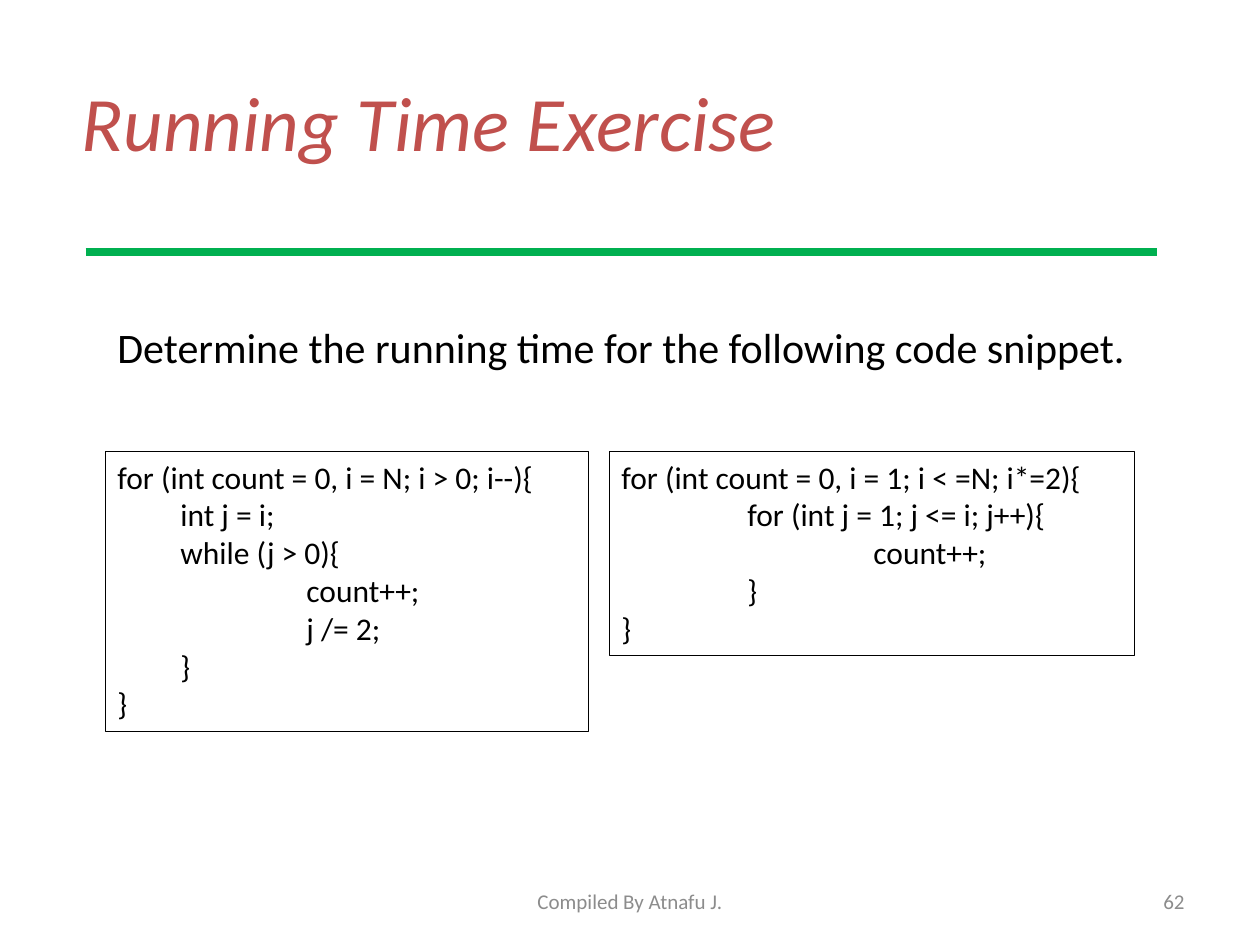
from pptx import Presentation
from pptx.dml.color import RGBColor
from pptx.enum.shapes import MSO_CONNECTOR, MSO_SHAPE
from pptx.enum.text import MSO_ANCHOR, PP_ALIGN
from pptx.oxml.ns import qn
from pptx.util import Pt

STRAIGHT = MSO_CONNECTOR.STRAIGHT
RECTANGLE = MSO_SHAPE.RECTANGLE
TOP, MIDDLE = MSO_ANCHOR.TOP, MSO_ANCHOR.MIDDLE
LEFT, CENTER, RIGHT = PP_ALIGN.LEFT, PP_ALIGN.CENTER, PP_ALIGN.RIGHT
TITLE_ONLY = 5

COLORS = {"title": "C0504D", "text": "000000", "rule": "00B050", "footer": "8C8C8C"}

# Each code line is (indent in points, text)
CODE_TOP = 258
CODE_BOXES = [
    (60, 276, 160, [
        (0, "for (int count = 0, i = N; i > 0; i--){"),
        (36, "int j = i;"),
        (36, "while (j > 0){"),
        (108, "count++;"),
        (108, "j /= 2;"),
        (36, "}"),
        (0, "}"),
    ]),
    (348, 300, 116.5, [
        (0, "for (int count = 0, i = 1; i < =N; i*=2){"),
        (72, "for (int j = 1; j <= i; j++){"),
        (144, "count++;"),
        (72, "}"),
        (0, "}"),
    ]),
]


class SlidePainter:
    font_name = "Calibri"

    def __init__(self, page):
        self.page = page

    def color(self, name):
        return RGBColor.from_string(COLORS[name])

    def fill_text(self, frame, lines, size, color, align=LEFT, anchor=TOP, italic=False):
        frame.word_wrap = True
        frame.vertical_anchor = anchor
        font_format = {"name": self.font_name, "size": Pt(size), "italic": italic}
        for index, (indent, text) in enumerate(lines):
            para = frame.add_paragraph() if index else frame.paragraphs[0]
            para.alignment = align
            if indent:
                properties = para._p.get_or_add_pPr()
                properties.set("marL", str(Pt(indent)))
                properties.set("indent", "0")
            span = para.add_run()
            span.text = text
            for name, value in font_format.items():
                setattr(span.font, name, value)
            span.font.color.rgb = self.color(color)

    def title(self, text, left, top, width, height):
        box = self.page.shapes.title
        place = {"left": left, "top": top, "width": width, "height": height}
        for name, value in place.items():
            setattr(box, name, Pt(value))
        self.fill_text(box.text_frame, [(0, text)], 44, "title", anchor=MIDDLE, italic=True)

    def text(self, lines, left, top, width, height, **style):
        box = self.page.shapes.add_textbox(Pt(left), Pt(top), Pt(width), Pt(height))
        self.fill_text(box.text_frame, lines, **style)

    def rule(self, left, right, y):
        line = self.page.shapes.add_connector(STRAIGHT, Pt(left), Pt(y), Pt(right), Pt(y))
        line.line.color.rgb = self.color("rule")
        line.line.width = Pt(4.25)
        properties = line._element.spPr
        properties.append(properties.makeelement(qn("a:effectLst"), {}))

    def code(self, lines, left, top, width, height):
        box = self.page.shapes.add_shape(RECTANGLE, Pt(left), Pt(top), Pt(width), Pt(height))
        box.shadow.inherit = False
        box.fill.background()
        box.line.color.rgb = self.color("text")
        box.line.width = Pt(0.5)
        self.fill_text(box.text_frame, lines, 18, "text")


def main():
    deck = Presentation()
    deck.slide_width, deck.slide_height = Pt(720), Pt(540)
    page = deck.slides.add_slide(deck.slide_layouts[TITLE_ONLY])
    painter = SlidePainter(page)

    # Heading and task
    painter.title("Running Time Exercise", 39.6, 24, 648, 90)
    painter.text([(11, "Determine the running time for the following code snippet.")],
                 49, 180, 612, 324, size=24, color="text")
    painter.rule(49, 661, 144)

    # Code snippets
    for left, width, height, lines in CODE_BOXES:
        painter.code(lines, left, CODE_TOP, width, height)

    # Footer
    footer = {"size": 12, "color": "footer", "anchor": MIDDLE}
    painter.text([(0, "62")], 516, 500.5, 168, 28.75, align=RIGHT, **footer)
    painter.text([(0, "Compiled By Atnafu J.")], 246, 500.5, 228, 28.75, align=CENTER, **footer)

    deck.save("out.pptx")


if __name__ == "__main__":
    main()
